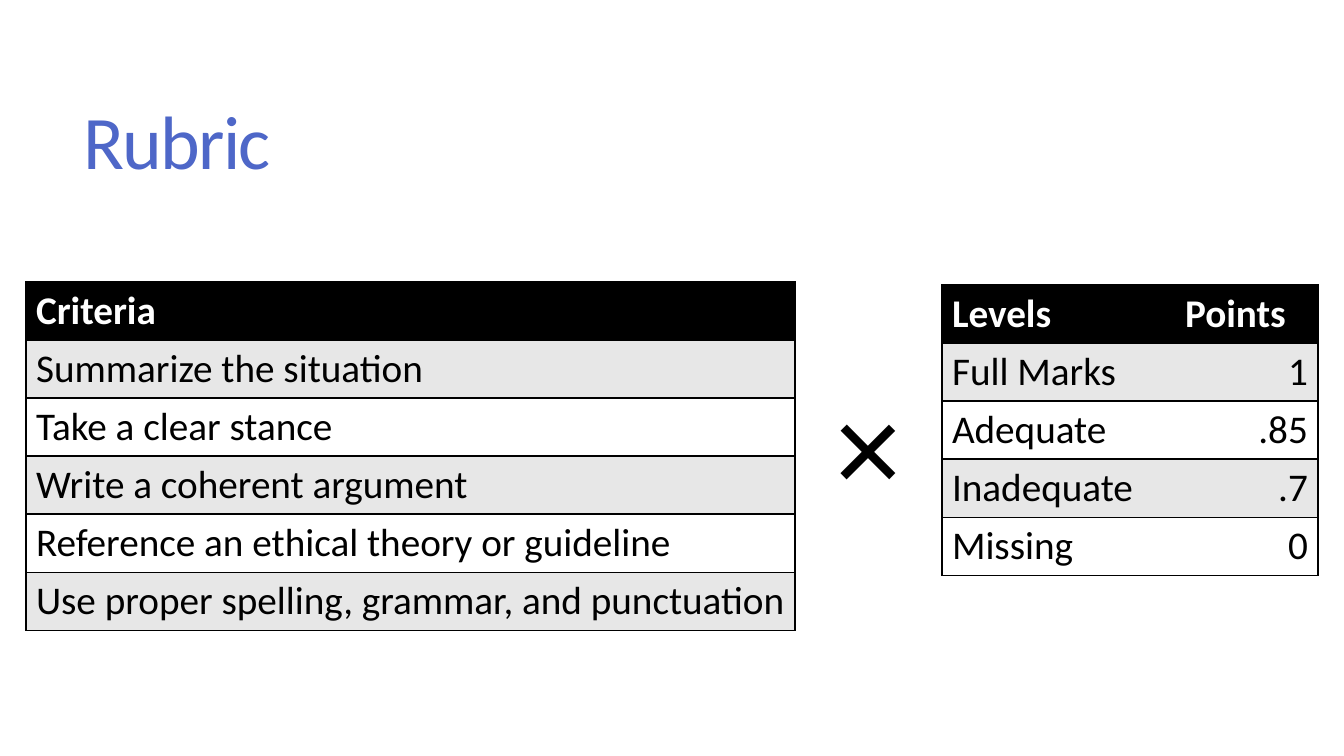
from lxml.etree import SubElement
from pptx import Presentation
from pptx.dml.color import RGBColor
from pptx.enum.text import MSO_ANCHOR as Anchor, PP_ALIGN as Align
from pptx.oxml.ns import qn
from pptx.util import Pt

PX = 914400 / 100.8
BLUE = RGBColor(0x4E, 0x67, 0xC8)
BLACK = RGBColor(0, 0, 0)
WHITE = RGBColor(0xFF, 0xFF, 0xFF)
GREY = RGBColor(0xE7, 0xE7, 0xE7)
ROW_HEIGHT = 58

CRITERIA = [
    ["Criteria"],
    ["Summarize the situation"],
    ["Take a clear stance"],
    ["Write a coherent argument"],
    ["Reference an ethical theory or guideline"],
    ["Use proper spelling, grammar, and punctuation"],
]
LEVELS = [
    ["Levels", "Points"],
    ["Full Marks", "1"],
    ["Adequate", ".85"],
    ["Inadequate", ".7"],
    ["Missing", "0"],
]


def px(length):
    return round(length * PX)


def style_text(para, size, color, name="Calibri", bold=False):
    font = para.font
    font.name, font.size, font.bold = name, Pt(size), bold
    font.color.rgb = color


def set_borders(cell, sides):
    """Draw the named sides (L, R, T, B) in black and hide the others."""
    properties = cell._tc.get_or_add_tcPr()
    for side in "LRTB":
        line = SubElement(properties, qn(f"a:ln{side}"), w=str(Pt(1)))
        if side in sides:
            fill = SubElement(line, qn("a:solidFill"))
            SubElement(fill, qn("a:srgbClr"), val=str(BLACK))
        else:
            SubElement(line, qn("a:noFill"))


def add_title(page, text, left, top, width, height):
    title = page.shapes.title
    title.left, title.top = px(left), px(top)
    title.width, title.height = px(width), px(height)
    frame = title.text_frame
    frame.text = text
    frame.vertical_anchor = Anchor.MIDDLE
    para = frame.paragraphs[0]
    para.alignment = Align.LEFT
    para.line_spacing = 0.85
    style_text(para, 54, BLUE)
    para.runs[0]._r.get_or_add_rPr().set("spc", "-120")


def add_rubric_table(page, rows, left, top, widths):
    table = page.shapes.add_table(
        len(rows), len(widths), px(left), px(top),
        px(sum(widths)), px(ROW_HEIGHT * len(rows))).table
    for column, width in zip(table.columns, widths):
        column.width = px(width)
    last = len(widths) - 1
    for r, row in enumerate(rows):
        table.rows[r].height = px(ROW_HEIGHT)
        for c, text in enumerate(row):
            cell = table.cell(r, c)
            cell.text = text
            header = r == 0
            set_borders(cell, "TB" + "L" * (c == 0) + "R" * (c == last))
            cell.fill.solid()
            cell.fill.fore_color.rgb = BLACK if header else (WHITE, GREY)[r % 2]
            para = cell.text_frame.paragraphs[0]
            para.alignment = Align.RIGHT if c and not header else Align.LEFT
            style_text(para, 28, WHITE if header else BLACK, bold=header)


def add_symbol(page, text, left, top, width, height):
    box = page.shapes.add_textbox(px(left), px(top), px(width), px(height))
    frame = box.text_frame
    frame.word_wrap = False
    frame.text = text
    style_text(frame.paragraphs[0], 88, BLACK, name="Courier New")


def main():
    deck = Presentation()
    deck.slide_width, deck.slide_height = px(1344), px(756)
    page = deck.slides.add_slide(deck.slide_layouts[5])

    add_title(page, "Rubric", 73, 55, 1187, 182)

    # Criteria times levels
    add_rubric_table(page, CRITERIA, 26, 282, [769])
    add_rubric_table(page, LEVELS, 942, 285, [233, 143])
    add_symbol(page, "×", 822, 365, 95, 159)

    deck.save("out.pptx")


if __name__ == "__main__":
    main()
